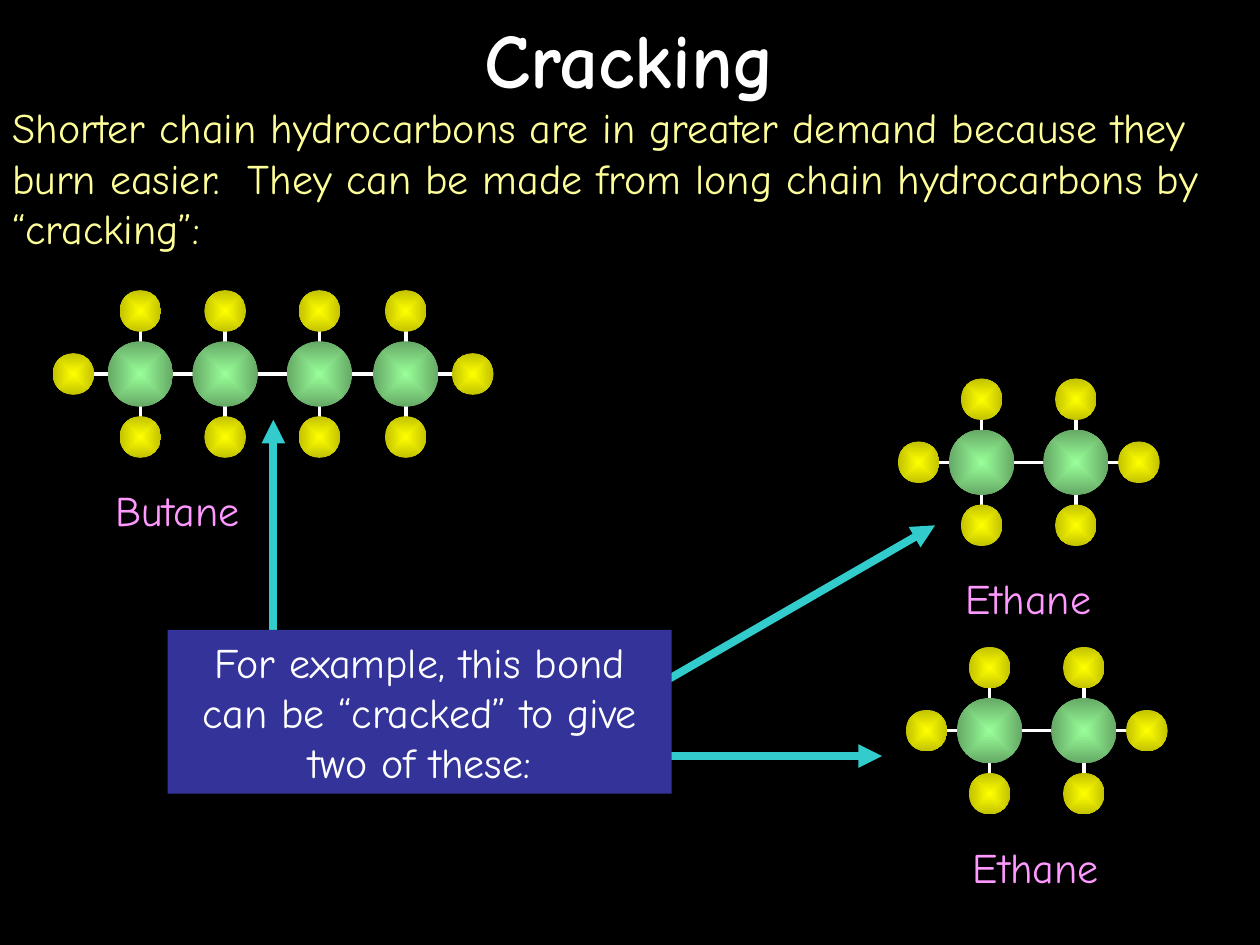
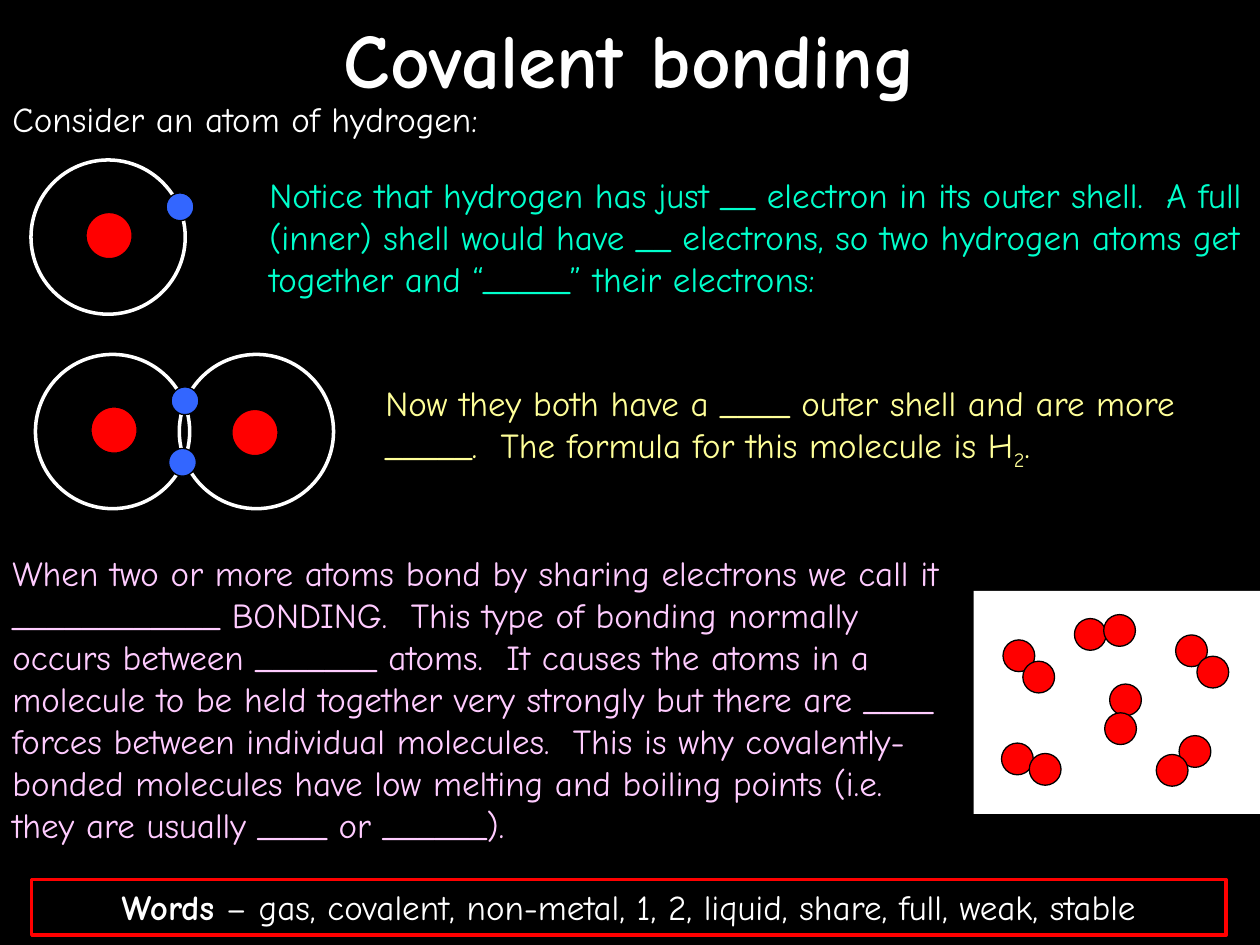
import dataclasses

import pptx
import pptx.dml.color
import pptx.enum.shapes
import pptx.enum.text
import pptx.oxml
import pptx.oxml.ns
import pptx.util

Cm = pptx.util.Cm
Pt = pptx.util.Pt
SHAPE = pptx.enum.shapes.MSO_SHAPE
ALIGN = pptx.enum.text.PP_ALIGN
ANCHOR = pptx.enum.text.MSO_ANCHOR


@dataclasses.dataclass(frozen=True)
class Theme:
    font: str = "Comic Neue"
    title_size: int = 44
    large_size: int = 24
    text_size: int = 20
    black: str = "000000"
    white: str = "FFFFFF"
    cream: str = "FFFF99"
    pink: str = "FF99FF"
    lilac: str = "FFCCFF"
    mint: str = "00FFCC"
    teal: str = "33CCCC"
    indigo: str = "333399"
    red: str = "FF0000"
    blue: str = "3366FF"
    carbon: tuple = ("99FF99", "65A868")
    hydrogen: tuple = ("FFFF00", "C2C200")


THEME = Theme(carbon=("99FF99", "65A865"))

# Content: all lengths in centimetres, boxes as left, top, width, height
SLIDE_SIZE = (25.4, 19.05)
TITLE_BOX = (0, 0, 25.4, 2.31)

CRACKING = {
    "title": "Cracking",
    "intro": ((0, 1.93, 25.4, 3.3),
              "Shorter chain hydrocarbons are in greater demand because they burn easier.  "
              "They can be made from long chain hydrocarbons by “cracking”:"),
    "callout": ((3.38, 12.7, 10.16, 3.3),
                "For example, this bond can be “cracked” to give two of these:"),
    "arrows": [((13.34, 13.77), (18.85, 10.59)),
               ((13.34, 15.24), (17.78, 15.24)),
               ((5.51, 12.9), (5.51, 8.46))],
    # name, carbon centres, centre height, distance to end hydrogens, label centre
    "molecules": [("Butane", (2.83, 4.54, 6.44, 8.18), 7.54, 1.35, 3.58),
                  ("Ethane", (19.95, 21.85), 14.73, 1.27, 20.88),
                  ("Ethane", (19.79, 21.69), 9.32, 1.27, 20.73)],
}
CARBON_SIZE, HYDROGEN_SIZE = 1.32, 0.84
HYDROGEN_RISE = 1.27
LABEL_SIZE, LABEL_DROP = (4.01, 1.27), 2.1

BONDING = {
    "title": "Covalent bonding",
    "texts": [
        ((0, 1.85, 25.4, 1.12), THEME.white, [("Consider an atom of hydrogen:", {})]),
        ((5.18, 3.38, 20.22, 2.79), THEME.mint,
         [("Notice that hydrogen has just __ electron in its outer shell.  A full (inner) "
           "shell would have __ electrons, so two hydrogen atoms get together and “_____” "
           "their electrons:", {})]),
        ((7.52, 7.57, 17.2, 2.08), THEME.cream,
         [("Now they both have a ____ outer shell and are more _____.  The formula for "
           "this molecule is H", {}), ("2", {"subscript": True}), (".", {})]),
        ((0, 11, 19.38, 6.2), THEME.lilac,
         [("When two or more atoms bond by sharing electrons we call it ____________ "
           "BONDING.  This type of bonding normally occurs between _______ atoms.  It "
           "causes the atoms in a molecule to be held together very strongly but there are "
           "____ forces between individual molecules.  This is why covalently-bonded "
           "molecules have low melting and boiling points (i.e. they are usually ____ or "
           "______).", {})]),
    ],
    "words": ((0.64, 17.73, 24.08, 1.12),
              [("Words", {"bold": True}),
               (" – gas, covalent, non-metal, 1, 2, liquid, share, full, weak, stable", {})]),
    "shells": [(2.18, 4.78), (2.27, 8.7), (5.17, 8.7)],
    "nuclei": [(2.2, 4.75), (2.3, 8.67), (5.14, 8.72)],
    "electrons": [(3.63, 4.17), (3.68, 9.32), (3.73, 8.08)],
    "gas_box": (19.63, 11.91, 5.77, 4.5),
    "gas_pairs": [((20.54, 13.22), (20.94, 13.65)), ((24.09, 15.15), (23.63, 15.53)),
                  ((21.98, 12.79), (22.57, 12.71)), ((20.51, 15.3), (21.07, 15.51)),
                  ((22.69, 14.11), (22.59, 14.69)), ((24.02, 13.12), (24.45, 13.55))],
}
SHELL_SIZE, NUCLEUS_SIZE, ELECTRON_SIZE, GAS_ATOM_SIZE = 3.11, 0.93, 0.56, 0.64


# Shared helpers
def rgb(value):
    return pptx.dml.color.RGBColor.from_string(value)


def lengths(values):
    return [Cm(value) for value in values]


def set_formats(target, formats):
    for name, value in formats.items():
        setattr(target, name, value)


def write(shape, spans, color, size, align=ALIGN.LEFT, anchor=ANCHOR.TOP, bold=False):
    frame = shape.text_frame
    set_formats(frame, {"word_wrap": True, "vertical_anchor": anchor,
                        "auto_size": pptx.enum.text.MSO_AUTO_SIZE.NONE})
    para = frame.paragraphs[0]
    para.alignment = align
    for text, extra in spans:
        span = para.add_run()
        span.text = text
        set_formats(span.font, {"name": THEME.font, "size": Pt(size),
                                "bold": extra.get("bold", bold)})
        span.font.color.rgb = rgb(color)
        if extra.get("subscript"):
            span.font._element.set("baseline", "-25000")


def add_text(page, box, spans, color, size, align=ALIGN.LEFT):
    write(page.shapes.add_textbox(*lengths(box)), spans, color, size, align)


def add_figure(page, kind, box, fill=None, line=None, width=0.75):
    """Fill is one colour, a (centre, edge) pair, or None for an empty figure."""
    shape = page.shapes.add_shape(kind, *lengths(box))
    shape.shadow.inherit = False
    if fill is None:
        shape.fill.background()
    elif isinstance(fill, tuple):
        shade_from_centre(shape, fill)
    else:
        shape.fill.solid()
        shape.fill.fore_color.rgb = rgb(fill)
    if line:
        shape.line.color.rgb = rgb(line)
        shape.line.width = Pt(width)
    else:
        shape.line.fill.background()
    return shape


def shade_from_centre(shape, colors):
    shape.fill.gradient()
    for stop, color in zip(shape.fill.gradient_stops, colors):
        stop.color.rgb = rgb(color)
    gradient = shape._element.spPr.find(pptx.oxml.ns.qn("a:gradFill"))
    linear = gradient.find(pptx.oxml.ns.qn("a:lin"))
    gradient.replace(linear, pptx.oxml.parse_xml(
        f'<a:path {pptx.oxml.ns.nsdecls("a")} path="rect">'
        '<a:fillToRect l="50000" t="50000" r="50000" b="50000"/></a:path>'))


def add_disc(page, centre, size, **formats):
    left, top = (value - size / 2 for value in centre)
    return add_figure(page, SHAPE.OVAL, (left, top, size, size), **formats)


def add_line(page, start, end, color, width, arrow=False):
    line = page.shapes.add_connector(pptx.enum.shapes.MSO_CONNECTOR.STRAIGHT,
                                     *lengths(start + end))
    line.line.color.rgb = rgb(color)
    line.line.width = Pt(width)
    namespace = pptx.oxml.ns.nsdecls("a")
    if arrow:
        line.line._get_or_add_ln().append(
            pptx.oxml.parse_xml(f'<a:tailEnd {namespace} type="triangle"/>'))
    line._element.spPr.append(pptx.oxml.parse_xml(f"<a:effectLst {namespace}/>"))


def add_page(deck, title):
    page = deck.slides.add_slide(deck.slide_layouts.get_by_name("Title Only"))
    box = page.shapes.title
    set_formats(box, dict(zip(("left", "top", "width", "height"), lengths(TITLE_BOX))))
    write(box, [(title, {})], THEME.white, THEME.title_size, ALIGN.CENTER,
          ANCHOR.MIDDLE, bold=True)
    return page


# Hydrocarbon: bonds first, then atoms, then the name
def add_hydrocarbon(page, name, carbons, middle, reach, label_centre):
    ends = [(carbons[0] - reach, middle), (carbons[-1] + reach, middle)]
    columns = [[(x, middle - HYDROGEN_RISE), (x, middle + HYDROGEN_RISE)] for x in carbons]
    for start, end in [ends] + columns:
        add_line(page, start, end, THEME.white, 2)
    for x in carbons:
        add_disc(page, (x, middle), CARBON_SIZE, fill=THEME.carbon)
    for centre in sum(columns, ends):
        add_disc(page, centre, HYDROGEN_SIZE, fill=THEME.hydrogen)
    label_box = (label_centre - LABEL_SIZE[0] / 2, middle + LABEL_DROP, *LABEL_SIZE)
    add_text(page, label_box, [(name, {})], THEME.pink, THEME.large_size, ALIGN.CENTER)


def build_cracking(deck):
    page = add_page(deck, CRACKING["title"])
    box, text = CRACKING["intro"]
    add_text(page, box, [(text, {})], THEME.cream, THEME.large_size)
    for molecule in CRACKING["molecules"]:
        add_hydrocarbon(page, *molecule)
    for start, end in CRACKING["arrows"]:
        add_line(page, start, end, THEME.teal, 4.5, arrow=True)
    box, text = CRACKING["callout"]
    callout = add_figure(page, SHAPE.RECTANGLE, box, fill=THEME.indigo)
    write(callout, [(text, {})], THEME.white, THEME.large_size, ALIGN.CENTER)


def build_bonding(deck):
    page = add_page(deck, BONDING["title"])
    # Atoms with shells, nuclei and electrons
    for centre in BONDING["shells"]:
        add_disc(page, centre, SHELL_SIZE, line=THEME.white, width=2)
    for part, size, color in (("nuclei", NUCLEUS_SIZE, THEME.red),
                              ("electrons", ELECTRON_SIZE, THEME.blue)):
        for centre in BONDING[part]:
            add_disc(page, centre, size, fill=color, line=THEME.black)
    # Gas of paired atoms
    add_figure(page, SHAPE.RECTANGLE, BONDING["gas_box"], fill=THEME.white)
    for pair in BONDING["gas_pairs"]:
        for centre in pair:
            add_disc(page, centre, GAS_ATOM_SIZE, fill=THEME.red, line=THEME.black)
    # Gap-fill texts and the word list
    for box, color, spans in BONDING["texts"]:
        add_text(page, box, spans, color, THEME.text_size)
    box, spans = BONDING["words"]
    words = add_figure(page, SHAPE.RECTANGLE, box, line=THEME.red, width=2)
    write(words, spans, THEME.white, THEME.text_size, ALIGN.CENTER)


def main():
    deck = pptx.Presentation()
    deck.slide_width, deck.slide_height = lengths(SLIDE_SIZE)
    backdrop = deck.slide_master.background.fill
    backdrop.solid()
    backdrop.fore_color.rgb = rgb(THEME.black)
    build_cracking(deck)
    build_bonding(deck)
    deck.save("out.pptx")


if __name__ == "__main__":
    main()
